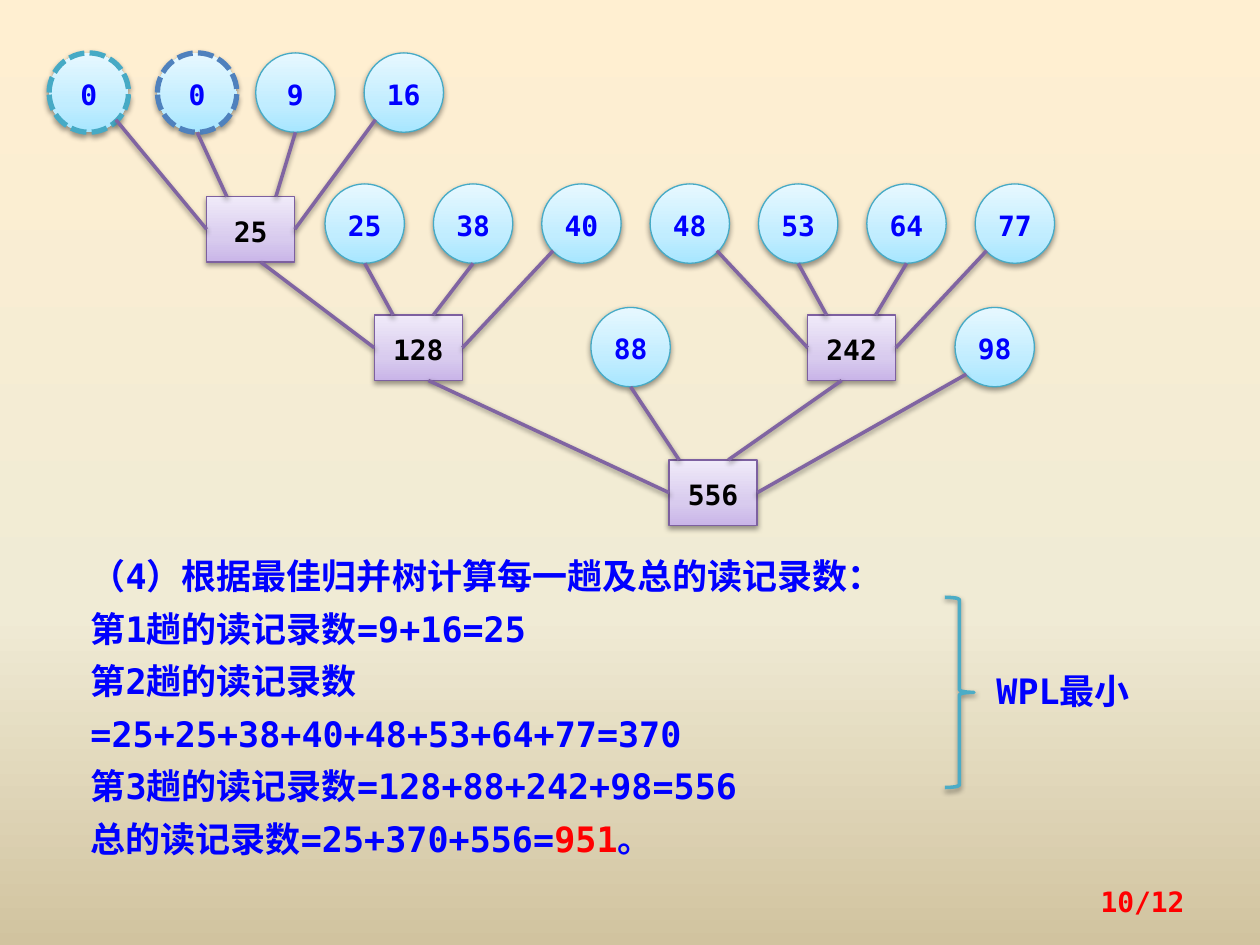
import pptx
import pptx.dml.color
import pptx.enum.dml
import pptx.enum.shapes
import pptx.enum.text
import pptx.oxml.ns
import pptx.util
from lxml import etree

Inches = pptx.util.Inches
Pt = pptx.util.Pt
qn = pptx.oxml.ns.qn
SHAPE = pptx.enum.shapes.MSO_SHAPE
ALIGN = pptx.enum.text.PP_ALIGN
ANCHOR = pptx.enum.text.MSO_ANCHOR

FONT = "DejaVu Sans Mono"
COLORS = {
    "text": "0000FF", "accent": "FF0000", "sum": "000000", "shadow": "000000",
    "leaf_line": "46AAC5", "empty_line": "4F81BD", "sum_line": "7D60A0",
    "branch": "8064A2", "brace": "4BACC6",
}
GRADIENTS = {
    "background": [(0, "FFEFD1"), (65, "F0EBD5"), (100, "D1C39F")],
    "leaf": [(0, "A7E6FF"), (35, "C1EDFF"), (100, "E7F8FF")],
    "sum": [(0, "C9B5E8"), (35, "D8CBEE"), (100, "F0EAF9")],
}
LEAF = 0.63
SUM_W, SUM_H = 0.7, 0.52
PITCH = 0.86


def rgb(name):
    return pptx.dml.color.RGBColor.from_string(COLORS[name])


def set_gradient(fill, element, name, angle):
    fill.gradient()
    stops = element.find(".//" + qn("a:gsLst"))
    for stop in list(stops):
        stops.remove(stop)
    for position, color in GRADIENTS[name]:
        stop = etree.SubElement(stops, qn("a:gs"), pos=str(position * 1000))
        etree.SubElement(stop, qn("a:srgbClr"), val=color)
    element.find(".//" + qn("a:lin")).set("ang", str(angle * 60000))


def add_shadow(shape):
    effects = etree.SubElement(shape.element.spPr, qn("a:effectLst"))
    shadow = etree.SubElement(effects, qn("a:outerShdw"), blurRad="40000",
                              dist="20000", dir="5400000", rotWithShape="0")
    color = etree.SubElement(shadow, qn("a:srgbClr"), val=COLORS["shadow"])
    etree.SubElement(color, qn("a:alpha"), val="38000")


def style_font(font, size, color):
    font.name = FONT
    font.size = Pt(size)
    font.bold = True
    font.color.rgb = rgb(color)


def set_line(line, color, width):
    line.color.rgb = rgb(color)
    line.width = Pt(width)


def add_node(shapes, kind, box, value, gradient, line, font_color, dashed=False):
    node = shapes.add_shape(kind, *(Inches(length) for length in box))
    set_gradient(node.fill, node.element.spPr, gradient, 270)
    set_line(node.line, line, 3 if dashed else 0.75)
    if dashed:
        node.line.dash_style = pptx.enum.dml.MSO_LINE.SQUARE_DOT
    add_shadow(node)
    frame = node.text_frame
    frame.margin_left = frame.margin_right = 0
    frame.vertical_anchor = ANCHOR.MIDDLE
    label = frame.paragraphs[0]
    label.text = value
    label.alignment = ALIGN.CENTER
    label.line_spacing = 1.1
    style_font(label.font, 16, font_color)
    return node


def add_leaf(shapes, left, top, value, line="leaf_line", dashed=False):
    add_node(shapes, SHAPE.OVAL, (left, top, LEAF, LEAF), value,
             "leaf", line, "text", dashed)
    return {
        "first": (left + 0.53, top + 0.53),
        "middle": (left + LEAF / 2, top + LEAF),
        "last": (left + 0.09, top + 0.53),
    }


def add_sum(shapes, left, top, value, children, entries, exit_offset=0.43):
    node = add_node(shapes, SHAPE.RECTANGLE, (left, top, SUM_W, SUM_H), value,
                    "sum", "sum_line", "sum")
    first, *middle, last = children
    ends = [(first["first"], (left, top + SUM_H / 2), 1)]
    ends += [(child["middle"], (left + entry, top), None)
             for child, entry in zip(middle, entries)]
    ends.append((last["last"], (left + SUM_W, top + SUM_H / 2), 3))
    for start, end, site in ends:
        branch = shapes.add_connector(
            pptx.enum.shapes.MSO_CONNECTOR.STRAIGHT,
            *(Inches(length) for length in start + end))
        if site is not None:
            branch.end_connect(node, site)
        set_line(branch.line, "branch", 2)
        add_shadow(branch)
    bottom = (left + exit_offset, top + SUM_H)
    return dict.fromkeys(("first", "middle", "last"), bottom)


def add_merge_tree(slide, left, top):
    shapes = slide.shapes.add_group_shape().shapes
    row2, row3 = top + 1.04, top + 2.02
    run1 = [
        add_leaf(shapes, left, top, "0", dashed=True),
        add_leaf(shapes, left + PITCH, top, "0", "empty_line", dashed=True),
        add_leaf(shapes, left + 1.64, top, "9"),
        add_leaf(shapes, left + 1.64 + PITCH, top, "16"),
    ]
    sum25 = add_sum(shapes, left + 1.25, top + 1.14, "25", run1, (0.16, 0.55))
    run2 = [add_leaf(shapes, left + 2.19 + i * PITCH, row2, value)
            for i, value in enumerate(("25", "38", "40", "48", "53", "64", "77"))]
    sum128 = add_sum(shapes, left + 2.58, top + 2.08, "128",
                     [sum25] + run2[:3], (0.15, 0.47))
    sum242 = add_sum(shapes, left + 6.02, top + 2.08, "242",
                     run2[3:], (0.15, 0.54), exit_offset=0.27)
    leaf88 = add_leaf(shapes, left + 4.3, row3, "88")
    leaf98 = add_leaf(shapes, left + 7.19, row3, "98")
    add_sum(shapes, left + 4.92, top + 3.23, "556",
            [sum128, leaf88, sum242, leaf98], (0.08, 0.47))


def add_text(shapes, box, lines, size, color, spacing=None):
    frame = shapes.add_textbox(*(Inches(length) for length in box)).text_frame
    frame.word_wrap = True
    for i, line in enumerate(lines):
        paragraph = frame.add_paragraph() if i else frame.paragraphs[0]
        paragraph.text = line
        paragraph.line_spacing = spacing
        style_font(paragraph.font, size, color)
    return frame


def add_calculation(slide, left, top, width, height):
    frame = add_text(slide.shapes, (left, top, width, height), [
        "（4）根据最佳归并树计算每一趟及总的读记录数：",
        "第1趟的读记录数=9+16=25",
        "第2趟的读记录数=25+25+38+40+48+53+64+77=370",
        "第3趟的读记录数=128+88+242+98=556",
        "总的读记录数=25+370+556=",
    ], 20, "text", Pt(30))
    frame.auto_size = pptx.enum.text.MSO_AUTO_SIZE.SHAPE_TO_FIT_TEXT
    total_line = frame.paragraphs[-1]
    total = total_line.add_run()
    total.text = "951"
    total.font.color.rgb = rgb("accent")
    total_line.add_run().text = "。"


def add_conclusion(slide, left, top, height):
    shapes = slide.shapes.add_group_shape().shapes
    brace = shapes.add_shape(SHAPE.RIGHT_BRACE, Inches(left), Inches(top),
                             Inches(0.23), Inches(height))
    brace.fill.background()
    set_line(brace.line, "brace", 2)
    add_shadow(brace)
    add_text(shapes, (left + 0.31, top + 0.44, 1.88, 0.52),
             ["WPL最小"], 20, "text", Pt(30))


def add_page_number(slide, left, top, width, height):
    frame = add_text(slide.shapes, (left, top, width, height),
                     ["10/12"], 16, "accent")
    frame.vertical_anchor = ANCHOR.MIDDLE
    frame.paragraphs[0].alignment = ALIGN.RIGHT


def main():
    deck = pptx.Presentation()
    deck.slide_width, deck.slide_height = Inches(10), Inches(7.5)
    slide = deck.slides.add_slide(deck.slide_layouts[6])
    set_gradient(slide.background.fill, slide.element, "background", 90)
    add_merge_tree(slide, 0.39, 0.42)
    add_calculation(slide, 0.62, 4.27, 6.8, 2.2)
    add_conclusion(slide, 7.5, 4.74, 1.51)
    add_page_number(slide, 7.17, 6.95, 2.33, 0.4)
    deck.save("out.pptx")


if __name__ == "__main__":
    main()
